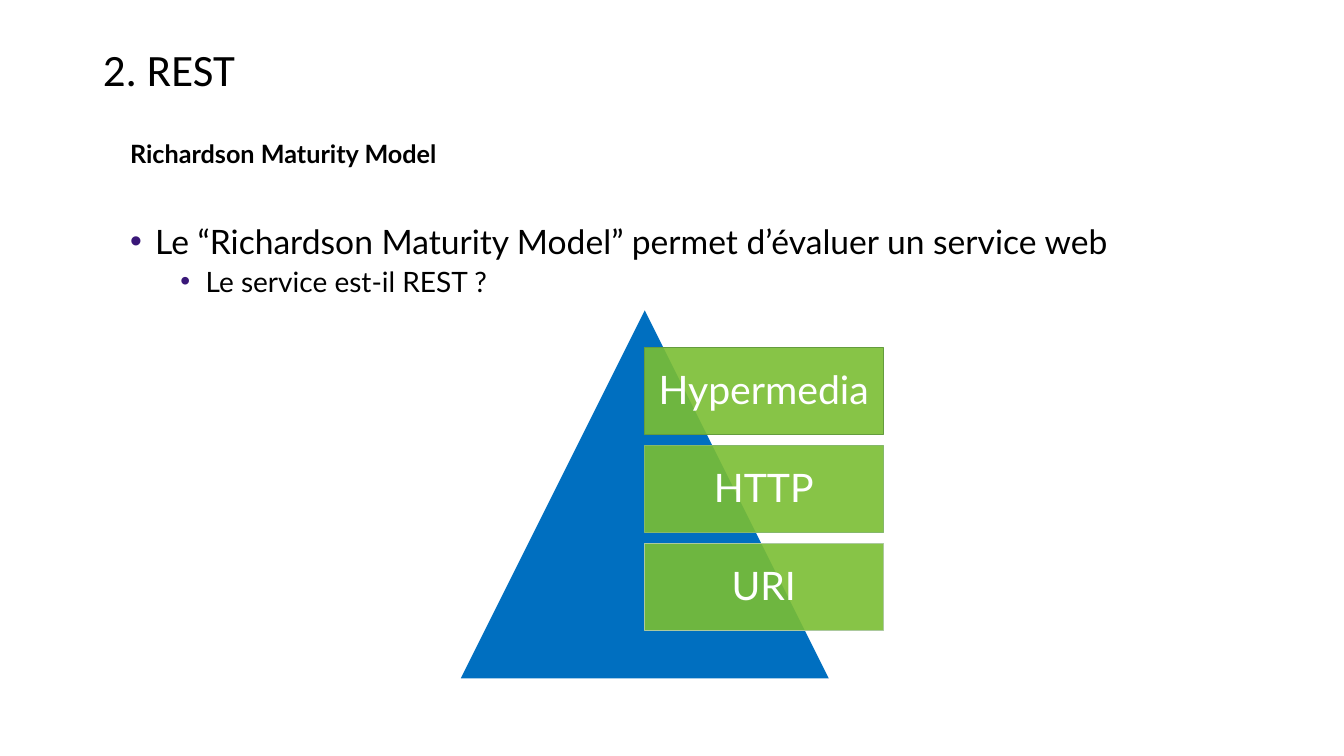
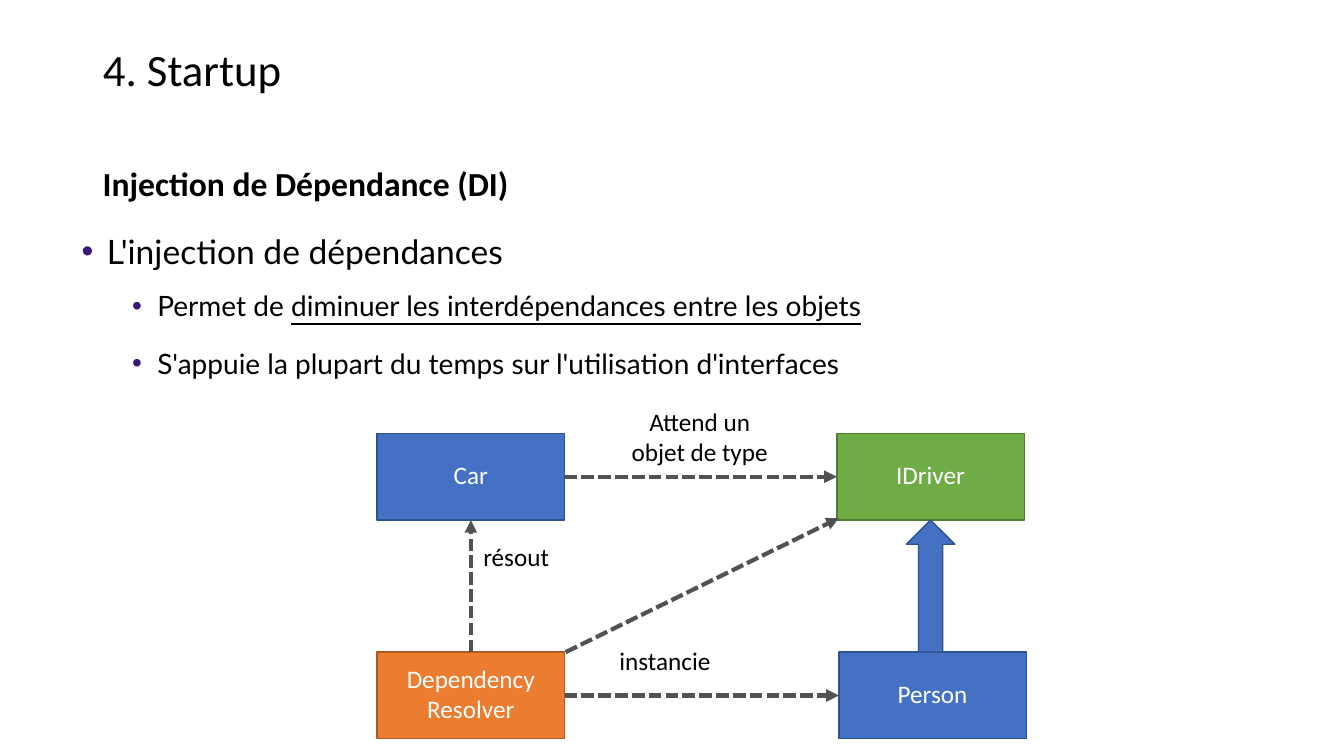
import pptx
import pptx.util
import pptx.dml.color
import pptx.enum.dml
import pptx.enum.shapes
import pptx.enum.text
import pptx.oxml
import pptx.oxml.ns
import lxml.etree

Inches, Pt = pptx.util.Inches, pptx.util.Pt
SHAPE = pptx.enum.shapes.MSO_SHAPE
ALIGN = pptx.enum.text.PP_ALIGN
ANCHOR = pptx.enum.text.MSO_ANCHOR
qn = pptx.oxml.ns.qn

BLACK, WHITE, PURPLE, GREY = "000000", "FFFFFF", "391778", "525252"
BLUE, NAVY = "4471C4", "2E528F"
TITLE_BOX = (0.92, 0.4, 11.5, 0.63)
LEVELS = {None: (0.01, 0, 18), 0: (0.26, -0.25, 24), 1: (0.76, -0.25, 20)}

REST = {
    "title": "2. REST",
    "body_box": (1.18, 1.32, 10.39, 2.02),
    "body": [
        (None, 0, [("Richardson Maturity Model", "b")]),
        (0, 37.2, [("Le “Richardson Maturity Model” permet d’évaluer un service web", "")]),
        (1, 2.7, [("Le service est-il REST ?", "")]),
    ],
}
PYRAMID_BOX = (4.57, 3.08, 3.65, 3.65)
PYRAMID_LEVELS = [("Hypermedia", "649C3E"), ("HTTP", "85B86A"), ("URI", "ACC99E")]

STARTUP = {
    "title": "4. Startup",
    "body_box": (0.7, 2.24, 8.04, 1.55),
    "body": [
        (0, 0, [("L'injection de dépendances", "")]),
        (1, 12.7, [("Permet de ", ""),
                   ("diminuer les interdépendances entre les objets", "u")]),
        (1, 16.9, [("S'appuie la plupart du temps sur l'utilisation d'interfaces", "")]),
    ],
}
SUBTITLE, SUBTITLE_BOX = "Injection de Dépendance (DI)", (0.92, 1.57, 11.51, 0.91)
NODE_SIZE = (1.86, 0.86)
NODES = [
    ("Car", 3.74, 4.3, BLUE, NAVY),
    ("Person", 8.32, 6.47, BLUE, NAVY),
    ("IDriver", 8.3, 4.3, "6FAC46", "507D31"),
    ("Dependency Resolver", 3.74, 6.47, "EC7C30", "AD5A20"),
]
LINKS = [
    ("Car", 3, "IDriver", 1),
    ("Dependency Resolver", 3, "Person", 1),
    ("Dependency Resolver", 0, "Car", 2),
]
DIAGONAL = (5.61, 6.47, 8.32, 5.14)
INHERITS_BOX = (8.99, 5.16, 0.48, 1.31)
LABELS = [
    ("instancie", (6.13, 6.39, 0.93, 0.33)),
    ("résout", (4.78, 5.36, 0.68, 0.33)),
    ("Attend un objet de type", (6.25, 4.02, 1.38, 0.63)),
]


def rgb(color):
    return pptx.dml.color.RGBColor.from_string(color)


def inches(box):
    return [Inches(v) for v in box]


def place(sp, box):
    sp.left, sp.top, sp.width, sp.height = inches(box)


def add_run(p, text, size, color=BLACK, font="Calibri", style=""):
    r = p.add_run()
    r.text = text
    r.font.name, r.font.size = font, Pt(size)
    r.font.color.rgb = rgb(color)
    r.font.bold = "b" in style
    r.font.underline = "u" in style


def set_margins(tf, left, top, right, bottom):
    tf.margin_left, tf.margin_top, tf.margin_right, tf.margin_bottom = inches(
        (left, top, right, bottom))


def set_bullet(p, level):
    left, indent, size = LEVELS[level]
    pPr = p._p.get_or_add_pPr()
    pPr.set("marL", str(Inches(left)))
    pPr.set("indent", str(Inches(indent)))
    if level is None:
        lxml.etree.SubElement(pPr, qn("a:buNone"))
    else:
        p.level = level
        clr = lxml.etree.SubElement(pPr, qn("a:buClr"))
        lxml.etree.SubElement(clr, qn("a:srgbClr"), val=PURPLE)
        lxml.etree.SubElement(pPr, qn("a:buFont"), typeface="Arial")
        lxml.etree.SubElement(pPr, qn("a:buChar"), char="•")
    return size


def add_slide(prs, layout, content):
    s = prs.slides.add_slide(layout)
    p = s.shapes.title.text_frame.paragraphs[0]
    p.alignment, p.line_spacing = ALIGN.LEFT, 0.9
    add_run(p, content["title"], 32)

    body = s.placeholders[1]
    place(body, content["body_box"])
    tf = body.text_frame
    tf.auto_size = pptx.enum.text.MSO_AUTO_SIZE.NONE
    for i, (level, before, runs) in enumerate(content["body"]):
        p = tf.add_paragraph() if i else tf.paragraphs[0]
        size = set_bullet(p, level)
        p.space_before, p.line_spacing = Pt(before), 1.0
        for text, style in runs:
            add_run(p, text, size, font="Lato", style=style)
    return s


def add_block(s, kind, box, fill, line=None, width=1.0):
    sp = s.shapes.add_shape(kind, *inches(box))
    sp.shadow.inherit = False
    sp.fill.solid()
    sp.fill.fore_color.rgb = rgb(fill)
    if line:
        sp.line.color.rgb = rgb(line)
        sp.line.width = Pt(width)
    else:
        sp.line.fill.background()
    return sp


def add_caption(sp, text, size, font):
    tf = sp.text_frame
    tf.word_wrap = True
    tf.vertical_anchor = ANCHOR.MIDDLE
    set_margins(tf, 0, 0, 0, 0.04)
    tf.paragraphs[0].alignment = ALIGN.CENTER
    add_run(tf.paragraphs[0], text, size, WHITE, font)


def add_text(s, text, box, size, style=""):
    tf = s.shapes.add_textbox(*inches(box)).text_frame
    tf.word_wrap = True
    add_run(tf.paragraphs[0], text, size, style=style)
    return tf


def add_arrow(s, ends=(0, 0, 0, 0)):
    c = s.shapes.add_connector(pptx.enum.shapes.MSO_CONNECTOR.STRAIGHT, *inches(ends))
    c.line.color.rgb = rgb(GREY)
    c.line.width = Pt(3)
    c.line.dash_style = pptx.enum.dml.MSO_LINE.SQUARE_DOT
    lxml.etree.SubElement(c.line._get_or_add_ln(), qn("a:tailEnd"), type="triangle")
    lxml.etree.SubElement(c._element.spPr, qn("a:effectLst"))
    return c


def build_rest(prs, layout):
    s = add_slide(prs, layout, REST)
    add_block(s, SHAPE.ISOSCELES_TRIANGLE, PYRAMID_BOX, "006FC0")
    for i, (text, line) in enumerate(PYRAMID_LEVELS):
        sp = add_block(s, SHAPE.RECTANGLE, (6.39, 3.45 + 0.97 * i, 2.37, 0.86),
                       "7BBE33", line, 0.5)
        clr = sp._element.spPr.find(qn("a:solidFill")).find(qn("a:srgbClr"))
        lxml.etree.SubElement(clr, qn("a:alpha"), val="90000")
        add_caption(sp, text, 28, "Lato")


def build_startup(prs, layout):
    s = add_slide(prs, layout, STARTUP)
    add_text(s, SUBTITLE, SUBTITLE_BOX, 24, "b")
    nodes = {}
    for text, x, y, fill, line in NODES:
        nodes[text] = add_block(s, SHAPE.RECTANGLE, (x, y, *NODE_SIZE), fill, line)
        add_caption(nodes[text], text, 18, "Calibri")
    add_block(s, SHAPE.UP_ARROW, INHERITS_BOX, BLUE, NAVY)
    for start, start_side, end, end_side in LINKS:
        c = add_arrow(s)
        c.begin_connect(nodes[start], start_side)
        c.end_connect(nodes[end], end_side)
    add_arrow(s, DIAGONAL)
    for text, box in LABELS:
        tf = add_text(s, text, box, 18)
        set_margins(tf, 0, 0.01, 0, 0)
        tf.paragraphs[0].alignment = ALIGN.CENTER


def main():
    prs = pptx.Presentation()
    prs.slide_width, prs.slide_height = Inches(13.33), Inches(7.5)
    layout = prs.slide_layouts[1]
    place(layout.placeholders[0], TITLE_BOX)
    build_rest(prs, layout)
    build_startup(prs, layout)
    prs.save("out.pptx")


if __name__ == "__main__":
    main()
